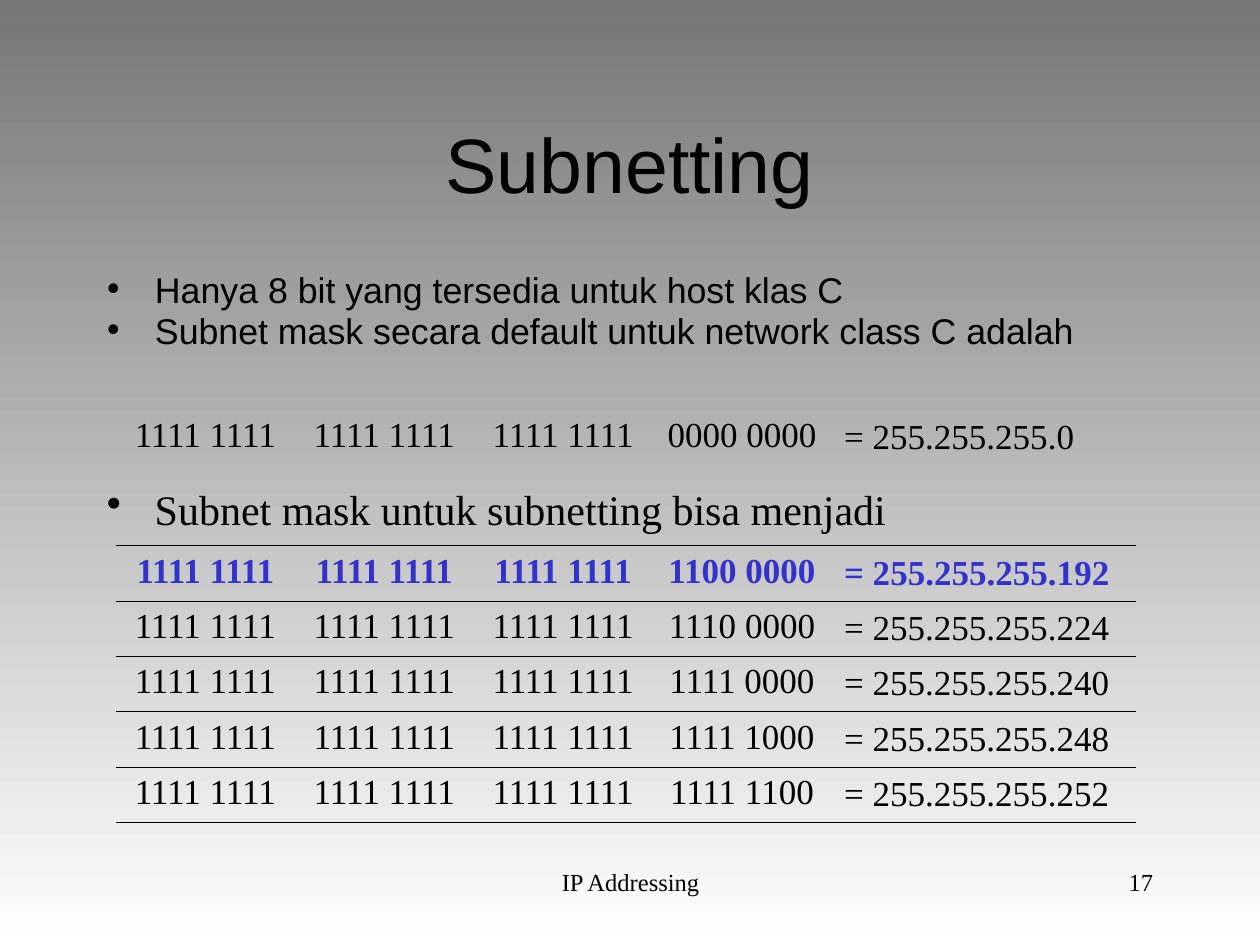
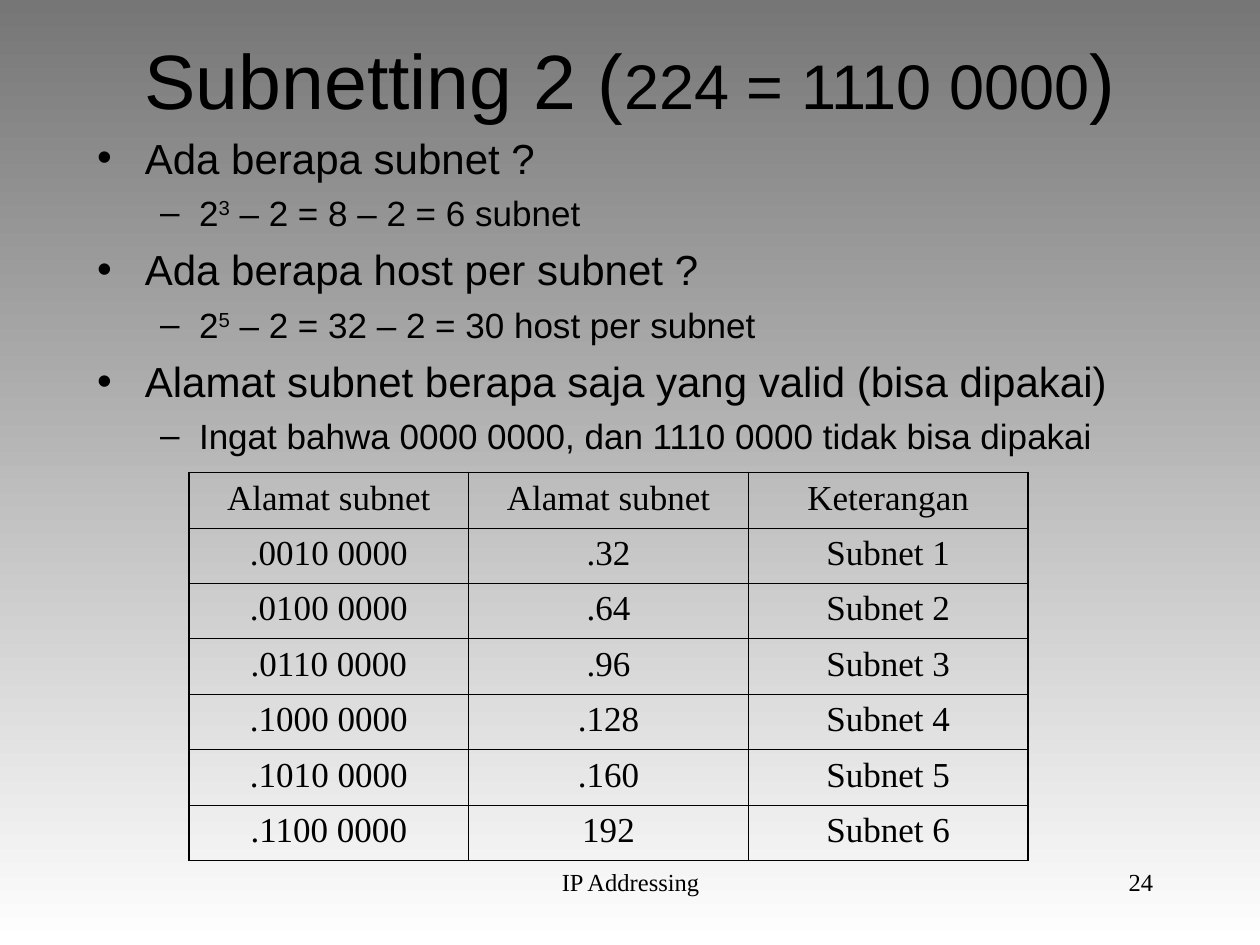
from dataclasses import dataclass

from lxml.etree import SubElement
from pptx import Presentation
from pptx.dml.color import RGBColor
from pptx.enum.text import MSO_ANCHOR, MSO_AUTO_SIZE, PP_ALIGN
from pptx.oxml.ns import qn
from pptx.util import Inches, Pt


@dataclass(frozen=True)
class Theme:
    """Colours, fonts and type sizes shared by the slides."""
    ink: str = "000000"
    accent: str = "3333CC"
    bg_top: str = "767676"
    bg_bottom: str = "FFFFFF"
    sans: str = "Arial"
    serif: str = "Times New Roman"
    title: float = 44
    title_note: float = 36
    bullet: float = 24
    bullet_tight: float = 20.4
    sub_bullet: float = 20
    cell: float = 20
    footer: float = 14


@dataclass(frozen=True)
class Borders:
    """Line widths of a table in points; 0 means no line."""
    frame_h: float = 0
    frame_v: float = 0
    inner_h: float = 0
    inner_v: float = 0


T = Theme()
ROW_HEIGHT = 0.44
OCTET_WIDTH = 1.42


def set_background(prs):
    """Give the master a grey to white gradient, top to bottom."""
    fill = prs.slide_master.background.fill
    fill.gradient()
    fill.gradient_angle = 270
    for stop, pos, color in zip(fill.gradient_stops, (0, 1), (T.bg_top, T.bg_bottom)):
        stop.position = pos
        stop.color.rgb = RGBColor.from_string(color)


def place(shape, box):
    """Move and size a shape to (left, top, width, height) in inches."""
    shape.left, shape.top, shape.width, shape.height = map(Inches, box)


def format_runs(p, font, size, color=T.ink, bold=False):
    """Format every run of a paragraph."""
    for r in p.runs:
        r.font.name = font
        r.font.size = Pt(size)
        r.font.bold = bold
        r.font.color.rgb = RGBColor.from_string(color)


def prepare_frame(tf, anchor=MSO_ANCHOR.TOP):
    """Set wrapping, fixed size, anchor and the usual insets."""
    tf.word_wrap = True
    tf.auto_size = MSO_AUTO_SIZE.NONE
    tf.vertical_anchor = anchor
    tf.margin_left = tf.margin_right = Inches(0.1)
    tf.margin_top = tf.margin_bottom = Inches(0.05)


def add_text(s, box, text, align):
    """Add a one-line text box in the footer style."""
    tf = s.shapes.add_textbox(*map(Inches, box)).text_frame
    prepare_frame(tf)
    tf.text = text
    p = tf.paragraphs[0]
    p.alignment = align
    format_runs(p, T.serif, T.footer)


def add_slide(prs, top, title, number):
    """Add a slide with title and footers; return it and the title paragraph."""
    s = prs.slides.add_slide(prs.slide_layouts[1])
    place(s.shapes.title, (0.75, top, 8.5, 1.25))
    tf = s.shapes.title.text_frame
    prepare_frame(tf, MSO_ANCHOR.MIDDLE)
    tf.text = title
    p = tf.paragraphs[0]
    p.alignment = PP_ALIGN.CENTER
    format_runs(p, T.sans, T.title)
    add_text(s, (3.42, 6.83, 3.17, 0.5), "IP Addressing", PP_ALIGN.CENTER)
    add_text(s, (7.17, 6.83, 2.08, 0.5), str(number), PP_ALIGN.RIGHT)
    return s, p


def set_bullet(p, char, left, hanging):
    """Give a paragraph a bullet character and a hanging indent."""
    pPr = p._p.get_or_add_pPr()
    pPr.set("marL", str(Inches(left)))
    pPr.set("indent", str(-Inches(hanging)))
    color = SubElement(pPr, qn("a:buClr"))
    SubElement(color, qn("a:srgbClr"), val=T.ink)
    SubElement(pPr, qn("a:buChar"), char=char)


def fill_list(shape, box, items, font, size, spacing=1.0):
    """Write (level, text) items as bullets; ^ marks a one-digit superscript."""
    place(shape, box)
    tf = shape.text_frame
    prepare_frame(tf)
    for i, (level, text) in enumerate(items):
        p = tf.add_paragraph() if i else tf.paragraphs[0]
        base, caret, rest = text.partition("^")
        p.text = base
        if caret:
            power = p.add_run()
            power.text = rest[0]
            p.add_run().text = rest[1:]
        format_runs(p, font, T.sub_bullet if level else size)
        if caret:
            power._r.get_or_add_rPr().set("baseline", "30000")
        p.level = level
        p.alignment = PP_ALIGN.LEFT
        p.line_spacing = spacing
        p.space_before = Pt(5 if level else 6)
        if level:
            set_bullet(p, "–", 0.81, 0.31)
        else:
            set_bullet(p, "•", 0.38, 0.38)


def set_borders(cell, widths):
    """Draw the left, right, top and bottom lines of a cell."""
    tcPr = cell._tc.get_or_add_tcPr()
    for i, (side, width) in enumerate(zip("LRTB", widths)):
        ln = SubElement(tcPr, qn(f"a:ln{side}"), w=str(Pt(width)))
        if width:
            fill = SubElement(ln, qn("a:solidFill"))
            SubElement(fill, qn("a:srgbClr"), val=T.ink)
        else:
            SubElement(ln, qn("a:noFill"))
        tcPr.insert(i, ln)


def add_table(s, left, top, widths, rows, borders, left_last=False, accent_row=None):
    """Add an unfilled table, with an optional left-aligned last column."""
    n_rows, n_cols = len(rows), len(widths)
    frame = s.shapes.add_table(n_rows, n_cols, Inches(left), Inches(top),
                               Inches(sum(widths)), Inches(ROW_HEIGHT * n_rows))
    table = frame.table
    table.first_row = table.horz_banding = False
    for column, width in zip(table.columns, widths):
        column.width = Inches(width)
    for i, row in enumerate(rows):
        table.rows[i].height = Inches(ROW_HEIGHT)
        accent = i == accent_row
        for j, text in enumerate(row):
            cell = table.cell(i, j)
            cell.text = text
            cell.fill.background()
            p = cell.text_frame.paragraphs[0]
            p.space_before = Pt(5)
            if left_last and j == n_cols - 1:
                p.alignment = PP_ALIGN.LEFT
                cell.vertical_anchor = MSO_ANCHOR.MIDDLE
            else:
                p.alignment = PP_ALIGN.CENTER
            format_runs(p, T.serif, T.cell, T.accent if accent else T.ink, accent)
            set_borders(cell, (
                borders.inner_v if j else borders.frame_v,
                borders.inner_v if j < n_cols - 1 else borders.frame_v,
                borders.inner_h if i else borders.frame_h,
                borders.inner_h if i < n_rows - 1 else borders.frame_h))


def bits(n):
    """Write an octet as two groups of four binary digits."""
    return f"{n >> 4:04b} {n & 15:04b}"


def mask_row(last):
    """Return the table row for the mask 255.255.255.last."""
    return [bits(255)] * 3 + [bits(last), f"= 255.255.255.{last}"]


def build_masks(prs):
    """Build the slide on the class C subnet masks."""
    s, _ = add_slide(prs, 0.67, "Subnetting", 17)
    fill_list(s.placeholders[1], (0.75, 2.17, 8.5, 0.67), [
        (0, "Hanya 8 bit yang tersedia untuk host klas C"),
        (0, "Subnet mask secara default untuk network class C adalah"),
    ], T.sans, T.bullet_tight, 0.7)
    add_table(s, 0.92, 3.25, [OCTET_WIDTH] * 4 + [2.25], [mask_row(0)],
              Borders(), left_last=True)
    box = (0.75, 3.83, 8.5, 0.58)
    fill_list(s.shapes.add_textbox(*map(Inches, box)), box,
              [(0, "Subnet mask untuk subnetting bisa menjadi")],
              T.serif, T.bullet, 0.9)
    add_table(s, 0.92, 4.33, [OCTET_WIDTH] * 4 + [2.42],
              [mask_row(n) for n in (192, 224, 240, 248, 252)],
              Borders(frame_h=0.45, inner_h=0.45), left_last=True, accent_row=0)


def build_subnets(prs):
    """Build the slide that lists the valid subnets of mask 224."""
    s, p = add_slide(prs, 0, "Subnetting 2 (", 24)
    for text in ("224 = 1110 0000", ")"):
        p.add_run().text = text
    format_runs(p, T.sans, T.title)
    p.runs[1].font.size = Pt(T.title_note)
    fill_list(s.placeholders[1], (0.67, 1, 8.5, 2.92), [
        (0, "Ada berapa subnet ?"),
        (1, "2^3 – 2 = 8 – 2 = 6 subnet"),
        (0, "Ada berapa host per subnet ?"),
        (1, "2^5 – 2 = 32 – 2 = 30 host per subnet"),
        (0, "Alamat subnet berapa saja yang valid (bisa dipakai)"),
        (1, "Ingat bahwa 0000 0000, dan 1110 0000 tidak bisa dipakai"),
    ], T.sans, T.bullet)
    addresses = [".32", ".64", ".96", ".128", ".160", "192"]
    rows = [["Alamat subnet", "Alamat subnet", "Keterangan"]]
    rows += [[f".{bits(32 * i)}", address, f"Subnet {i}"]
             for i, address in enumerate(addresses, 1)]
    add_table(s, 1.5, 3.75, [2.22] * 3, rows, Borders(1.08, 1.08, 0.45, 0.45))


def main():
    """Build and save the presentation."""
    prs = Presentation()
    prs.slide_width, prs.slide_height = Inches(10), Inches(7.5)
    set_background(prs)
    build_masks(prs)
    build_subnets(prs)
    prs.save("out.pptx")


main()
